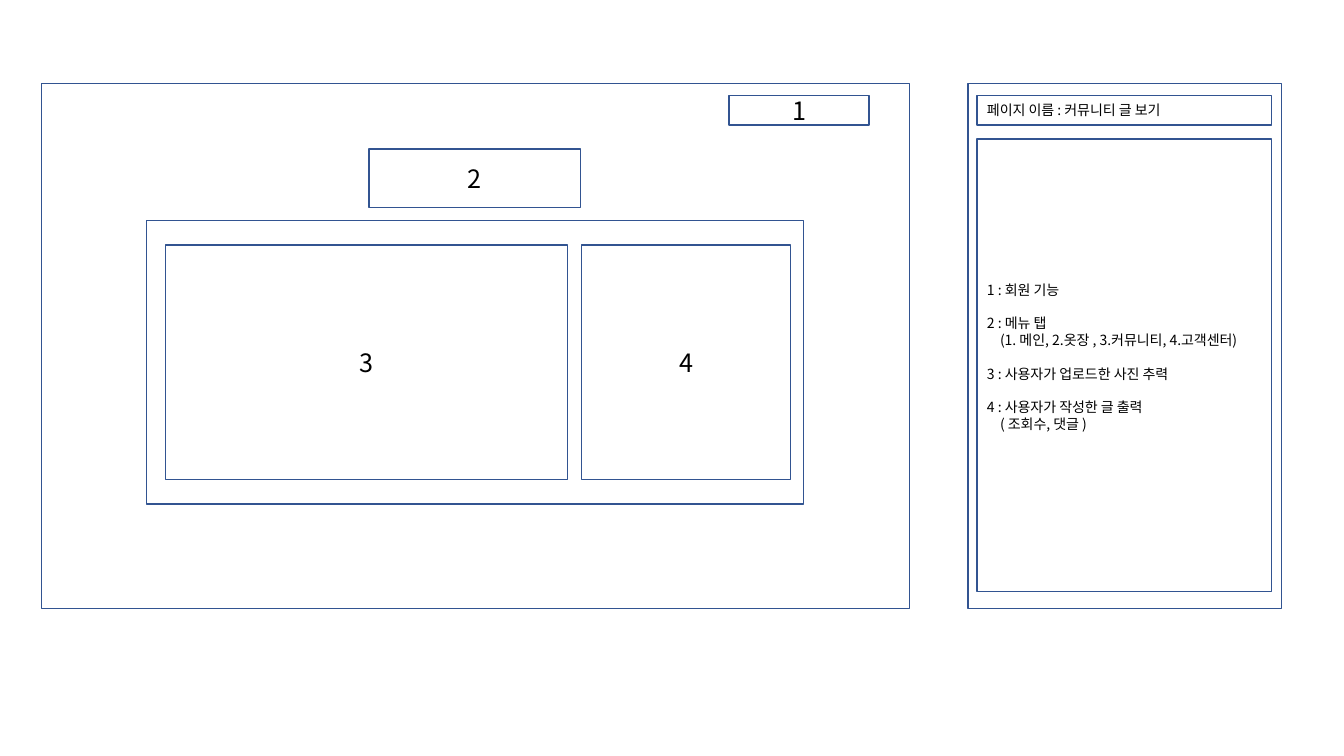
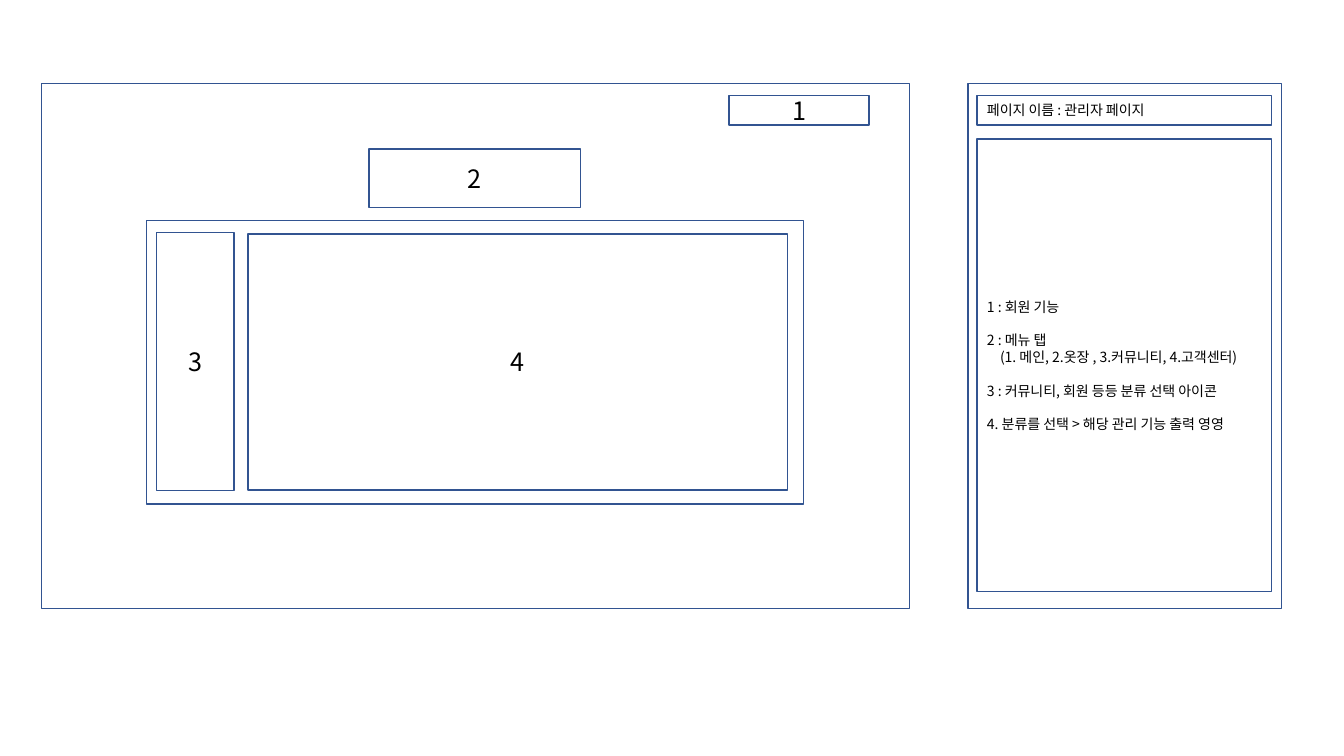
import pptx
import pptx.dml.color
import pptx.enum.shapes
import pptx.enum.text
import pptx.oxml
import pptx.oxml.ns
import pptx.util

SCALE = 9144
SLIDE_SIZE = (1333, 750)
FONT = "Noto Sans CJK KR"
WHITE, BLUE, BLACK = "FFFFFF", "325491", "000000"
NUMBER_SIZE, NOTE_SIZE = 18, 10
GROUP_GAP = 12
DETAIL_INDENT = 13
BOTTOM_INSET = 5

SCREEN = (41, 83, 861, 521)
SIDEBAR = (960, 83, 311, 521)
PAGE_NAME = (969, 95, 292, 29)
NOTES = (969, 138, 292, 449)
CONTENT = (145, 219, 652, 281)
COMMON_AREAS = [("2", (366, 148, 210, 58)), ("1", (723, 95, 139, 29))]

COMMON_NOTES = [
    ["1 : 회원 기능"],
    ["2 : 메뉴 탭", "(1. 메인, 2.옷장 , 3.커뮤니티, 4.고객센터)"],
]
PAGES = [
    {
        "name": "커뮤니티 글 보기",
        "areas": [("3", (164, 243, 399, 233)), ("4", (577, 243, 207, 233))],
        "notes": [
            ["3 : 사용자가 업로드한 사진 추력"],
            ["4 : 사용자가 작성한 글 출력", "( 조회수, 댓글 )"],
        ],
        "notes_bottom": 22,
    },
    {
        "name": "관리자 페이지",
        "areas": [("3", (155, 231, 77, 256)), ("4", (246, 232, 535, 254))],
        "notes": [
            ["3 : 커뮤니티, 회원 등등 분류 선택 아이콘"],
            ["4. 분류를 선택 > 해당 관리 기능 출력 영영"],
        ],
        "notes_bottom": BOTTOM_INSET,
    },
]


def px(length):
    return pptx.util.Emu(length * SCALE)


def color(value):
    return pptx.dml.color.RGBColor.from_string(value)


def add_box(slide, place):
    box = slide.shapes.add_shape(
        pptx.enum.shapes.MSO_SHAPE.RECTANGLE, *map(px, place))
    box.shadow.inherit = False
    box.fill.solid()
    box.fill.fore_color.rgb = color(WHITE)
    box.line.color.rgb = color(BLUE)
    box.line.width = pptx.util.Pt(1)
    return box


def style(paragraph, size, align):
    paragraph.alignment = align
    for run in paragraph.runs:
        run.font.size = pptx.util.Pt(size)
        run.font.name = FONT
        run.font.color.rgb = color(BLACK)
        east_asian = pptx.oxml.parse_xml(
            f'<a:ea {pptx.oxml.ns.nsdecls("a")} typeface="{FONT}"/>')
        run.font._element.append(east_asian)


def add_text_box(slide, place, groups, size, align, bottom=BOTTOM_INSET):
    frame = add_box(slide, place).text_frame
    frame.word_wrap = True
    frame.vertical_anchor = pptx.enum.text.MSO_ANCHOR.MIDDLE
    frame.margin_bottom = px(bottom)
    frame.text = "\n".join(line for group in groups for line in group)
    positions = [(g, n) for g, group in enumerate(groups)
                 for n in range(len(group))]
    for paragraph, (group_index, line_index) in zip(frame.paragraphs, positions):
        style(paragraph, size, align)
        if line_index:
            paragraph._p.get_or_add_pPr().set("indent", str(px(DETAIL_INDENT)))
        elif group_index:
            paragraph.space_before = pptx.util.Pt(GROUP_GAP)


def add_page(deck, page):
    slide = deck.slides.add_slide(deck.slide_layouts[6])
    left = pptx.enum.text.PP_ALIGN.LEFT
    center = pptx.enum.text.PP_ALIGN.CENTER
    add_box(slide, SCREEN)
    add_box(slide, SIDEBAR)
    add_text_box(slide, PAGE_NAME, [[f"페이지 이름 : {page['name']}"]],
                 NOTE_SIZE, left)
    add_text_box(slide, NOTES, COMMON_NOTES + page["notes"],
                 NOTE_SIZE, left, page["notes_bottom"])
    add_box(slide, CONTENT)
    for number, place in COMMON_AREAS + page["areas"]:
        add_text_box(slide, place, [[number]], NUMBER_SIZE, center)


def main():
    deck = pptx.Presentation()
    deck.slide_width, deck.slide_height = map(px, SLIDE_SIZE)
    for page in PAGES:
        add_page(deck, page)
    deck.save("out.pptx")


if __name__ == "__main__":
    main()
